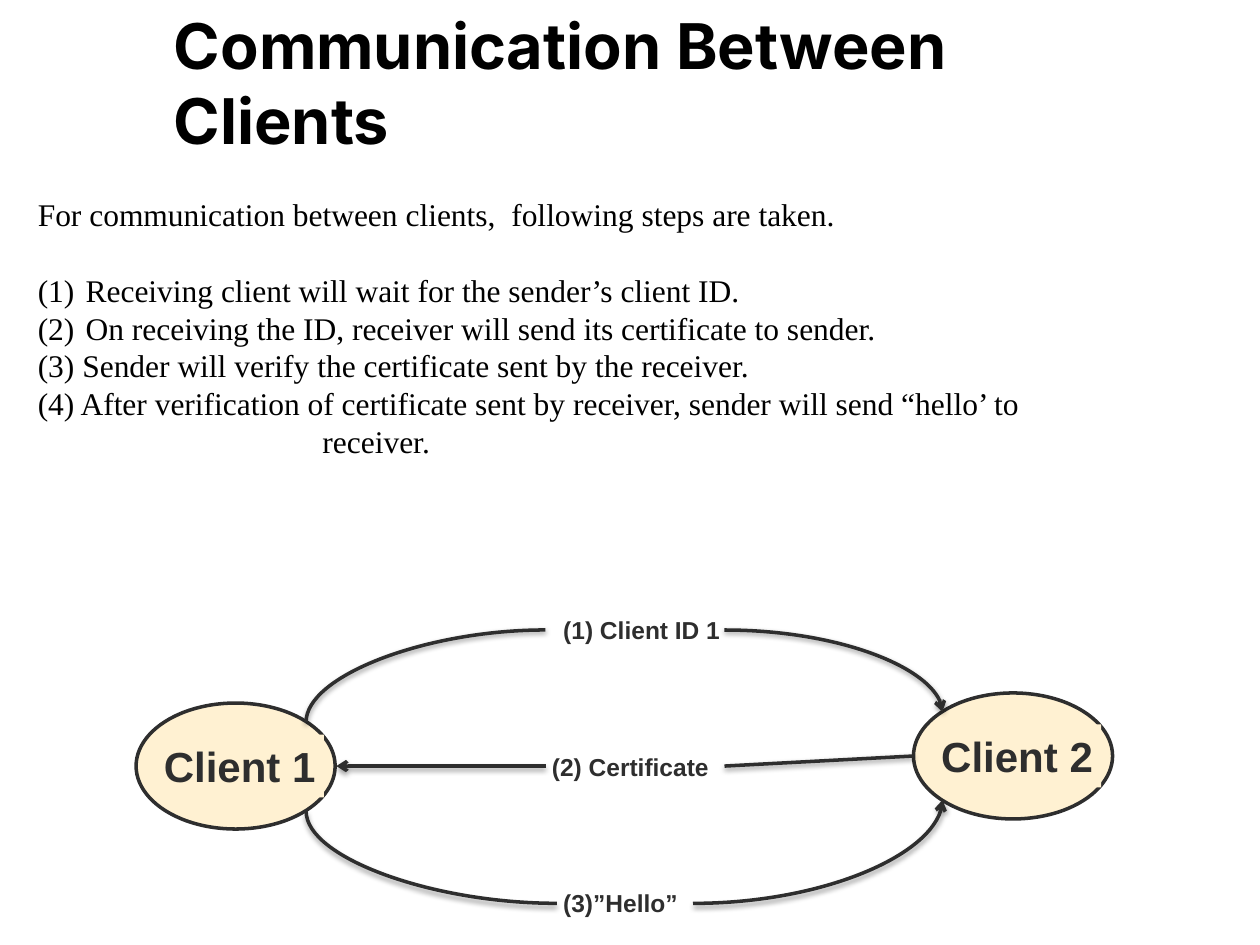
from lxml import etree
from pptx import Presentation
from pptx import util as u
from pptx.dml.color import RGBColor
from pptx.enum import shapes, text
from pptx.oxml.ns import qn

BLACK = RGBColor(0, 0, 0)
INK = RGBColor(0x2E, 0x2E, 0x2E)
CREAM = RGBColor(0xFF, 0xF1, 0xD2)

TITLE = "Communication Between Clients"
INTRO = "For communication between clients,  following steps are taken."
NUMBERED_STEPS = [
    "Receiving client will wait for the sender’s client ID.",
    "On receiving the ID, receiver will send its certificate to sender.",
]
TYPED_STEPS = [
    "(3) Sender will verify the certificate sent by the receiver.",
    "(4) After verification of certificate sent by receiver, sender will send “hello’ to",
]
LAST_WORD = "receiver."

CLIENTS = [("Client 1", 1.08, 5.58), ("Client 2", 7.25, 5.5)]
MESSAGES = [  # text, left, top, width
    ("(3)”Hello”", 4.42, 7, 1.33),
    ("(2) Certificate", 4.33, 5.92, 1.42),
    ("(1) Client ID 1", 4.42, 4.83, 1.58),
]
LINKS = [  # message end, client end, curved, arrow at client
    ((5.75, 5), (7.48, 5.65), True, True),
    ((4.33, 5), (2.43, 5.73), True, False),
    ((4.33, 6.08), (2.67, 6.08), False, True),
    ((5.75, 6.08), (7.25, 6), False, False),
    ((5.5, 7.17), (7.48, 6.35), True, True),
    ((4.42, 7.17), (2.43, 6.44), True, False),
]


def write(shape, lines, size, font, color, bold=False, wrap=True):
    frame = shape.text_frame
    frame.text = "\n".join(lines)
    frame.word_wrap = wrap
    frame.vertical_anchor = text.MSO_ANCHOR.TOP
    frame.margin_left = frame.margin_right = u.Inches(0.05)
    frame.margin_top = frame.margin_bottom = u.Inches(0.05)
    for paragraph in frame.paragraphs:
        paragraph.alignment = text.PP_ALIGN.LEFT
        for run in paragraph.runs:
            run.font.size = u.Pt(size)
            run.font.name = font
            run.font.bold = bold
            run.font.color.rgb = color
    return frame.paragraphs


def add_text(slide, box, lines, *style):
    return write(slide.shapes.add_textbox(*map(u.Inches, box)), lines, *style)


def indent(paragraph, left, first=0):
    properties = paragraph._p.get_or_add_pPr()
    properties.set("marL", str(u.Inches(left)))
    properties.set("indent", str(u.Inches(first)))
    return properties


def add_steps(slide):
    lines = [INTRO, *NUMBERED_STEPS, *TYPED_STEPS, LAST_WORD]
    paragraphs = add_text(slide, (0.25, 1.5, 9.53, 2.52), lines,
                          18, "Times New Roman", BLACK)
    first_step = 1
    paragraphs[first_step].space_before = u.Pt(21.6)
    for paragraph in paragraphs[first_step:first_step + len(NUMBERED_STEPS)]:
        properties = indent(paragraph, 0.38, -0.38)
        etree.SubElement(properties, qn("a:buFont"), typeface="+mj-lt")
        etree.SubElement(properties, qn("a:buAutoNum"), type="arabicParenBoth")
    indent(paragraphs[-1], 2.26)


def add_client(slide, name, left, top):
    """Group an outlined ellipse with its name plate."""
    group = slide.shapes.add_group_shape()
    ellipse = group.shapes.add_shape(
        shapes.MSO_SHAPE.OVAL, *map(u.Inches, (left, top, 1.58, 1)))
    ellipse.line.color.rgb = INK
    ellipse.line.width = u.Pt(2)
    plate = group.shapes.add_shape(
        shapes.MSO_SHAPE.RECTANGLE,
        *map(u.Inches, (left + 0.17, top + 0.25, 1.32, 0.5)))
    plate.line.fill.background()
    for part in (ellipse, plate):
        part.shadow.inherit = False
        part.fill.solid()
        part.fill.fore_color.rgb = CREAM
    write(plate, [name], 24, "Arial", INK, True, False)


def add_link(slide, start, end, curved, arrow):
    kind = shapes.MSO_CONNECTOR.CURVE if curved else shapes.MSO_CONNECTOR.STRAIGHT
    link = slide.shapes.add_connector(kind, *map(u.Inches, start + end))
    link.line.color.rgb = INK
    link.line.width = u.Pt(2)
    properties = link._element.spPr
    if curved:
        properties.find(qn("a:prstGeom")).set("prst", "curvedConnector2")
    if arrow:
        etree.SubElement(properties.find(qn("a:ln")), qn("a:tailEnd"), type="arrow")
    effects = etree.SubElement(properties, qn("a:effectLst"))
    shadow = etree.SubElement(
        effects, qn("a:outerShdw"), blurRad=str(u.Pt(3)), dist=str(u.Pt(1.6)),
        dir="5400000", rotWithShape="0")
    shade = etree.SubElement(shadow, qn("a:srgbClr"), val=str(BLACK))
    etree.SubElement(shade, qn("a:alpha"), val="38000")


def main():
    deck = Presentation()
    deck.slide_width, deck.slide_height = u.Inches(10), u.Inches(7.5)
    slide = deck.slides.add_slide(deck.slide_layouts[6])
    add_text(slide, (1.33, 0, 7.42, 0.84), [TITLE], 36, "Inter", BLACK, True)
    add_steps(slide)
    for client in CLIENTS:
        add_client(slide, *client)
    for message, left, top, width in MESSAGES:
        add_text(slide, (left, top, width, 0.34), [message], 14, "Arial", INK, True)
    for link in LINKS:
        add_link(slide, *link)
    deck.save("out.pptx")


if __name__ == "__main__":
    main()
